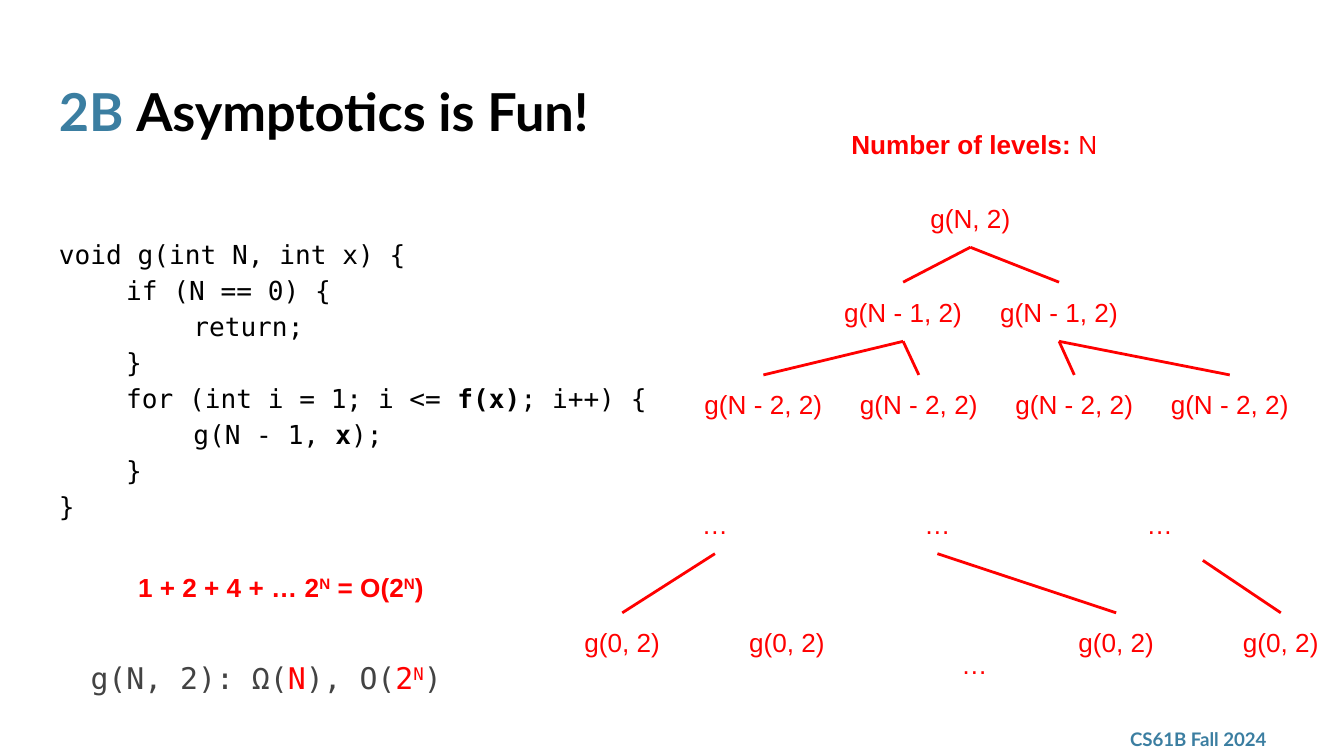
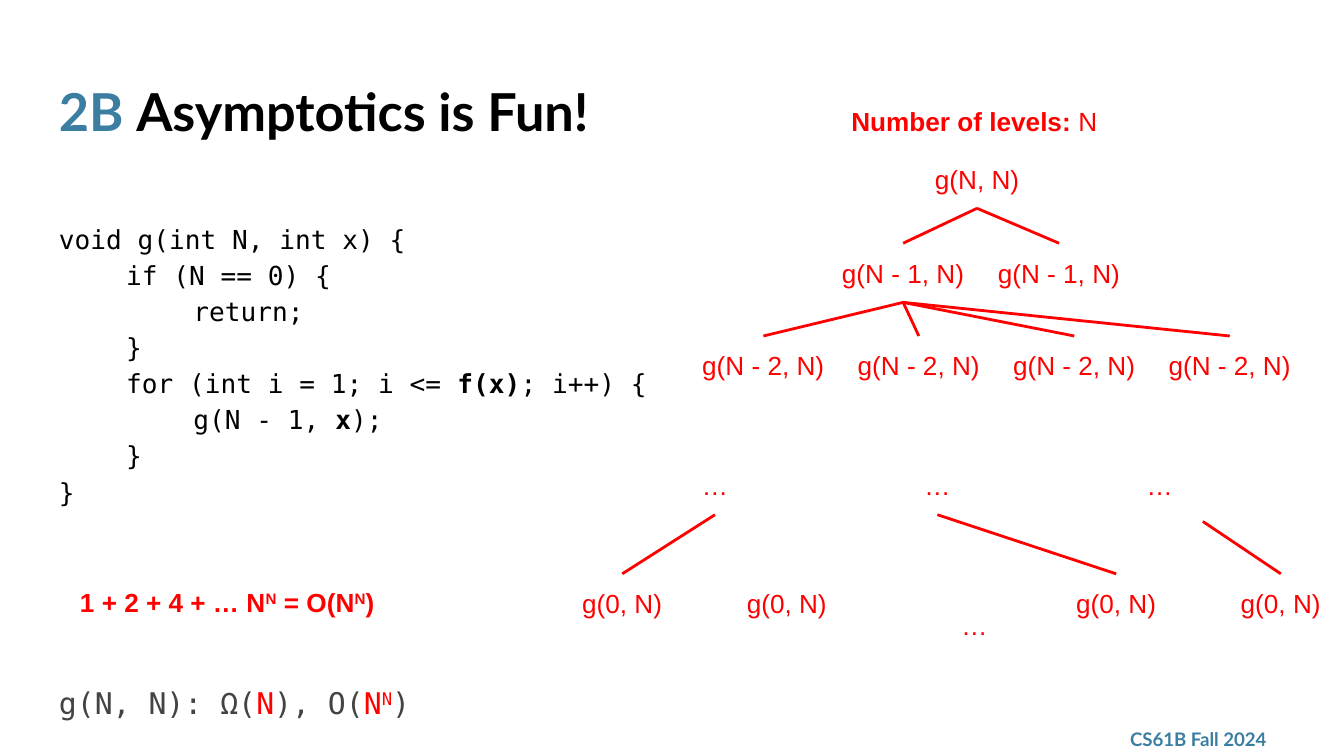
"""Builds two slides that analyse the recursive function g with call trees."""
from lxml import etree
from pptx import Presentation
from pptx.dml.color import RGBColor
from pptx.enum.shapes import MSO_CONNECTOR as Connector
from pptx.enum.text import MSO_ANCHOR as Anchor, PP_ALIGN as Align
from pptx.oxml.ns import qn
from pptx.util import Inches, Pt

BLUE, RED, BLACK, GREY = "3B7EA1", "FF0000", "000000", "434343"
MONO = "DejaVu Sans Mono"
BOLD, SUPER, ACCENT = {"bold": True}, {"raised": True}, {"color": RED}
BOX_WIDTH, BOX_HEIGHT = 1.16, 0.44


def write(slide, at, paragraphs, align=Align.LEFT, anchor=Anchor.MIDDLE,
          spacing=1.0, **style):
    """Adds a text box; each paragraph is a depth and a list of (text, format) runs."""
    if isinstance(paragraphs, str):
        paragraphs = [(0, [(paragraphs, {})])]
    box = slide.shapes.add_textbox(*map(Inches, at))
    frame = box.text_frame
    frame.word_wrap = True
    frame.vertical_anchor = anchor
    frame.margin_left = frame.margin_right = Inches(0.1)
    frame.margin_top = frame.margin_bottom = Inches(0.1)
    for number, (depth, runs) in enumerate(paragraphs):
        paragraph = frame.add_paragraph() if number else frame.paragraphs[0]
        paragraph.alignment = align
        paragraph.line_spacing = spacing
        if depth:
            paragraph._p.get_or_add_pPr().set("marL", str(Inches(depth / 2)))
        for text, changes in runs:
            look = {"size": 14, "font": "Arial", "color": RED, "bold": False} | style | changes
            run = paragraph.add_run()
            run.text = text
            run.font.size = Pt(look["size"])
            run.font.name = look["font"]
            run.font.bold = look["bold"]
            run.font.color.rgb = RGBColor.from_string(look["color"])
            if look.get("raised"):
                run._r.get_or_add_rPr().set("baseline", "30000")
    return box


CODE = [
    (0, [("void g(int N, int x) {", {})]),
    (1, [("if (N == 0) {", {})]),
    (2, [("return;", {})]),
    (1, [("}", {})]),
    (1, [("for (int i = 1; i <= ", {}), ("f(x)", BOLD), ("; i++) {", {})]),
    (2, [("g(N - 1, ", {}), ("x", BOLD), (");", {})]),
    (1, [("}", {})]),
    (0, [("}", {})]),
]
CASES = [
    {"x": "2", "tree_top": 1.4, "root_width": 0.82, "parents": [0, 0, 1, 1],
     "levels_top": 0.85, "code_at": (0.34, 1.64, 4.66, 2.57),
     "sum_at": (0.45, 4.15, 3.28, 0.44), "sum_anchor": Anchor.TOP,
     "bounds_at": (0.34, 4.74, 3.28, 0.47),
     "bounds_format": {"align": Align.CENTER, "anchor": Anchor.MIDDLE}},
    {"x": "N", "tree_top": 1.11, "root_width": 0.92, "parents": [0, 0, 0, 0],
     "levels_top": 0.68, "code_at": (0.34, 1.53, 5.25, 2.57),
     "sum_at": (0.34, 4.26, 2.7, 0.44), "sum_anchor": Anchor.MIDDLE,
     "bounds_at": (0.34, 4.86, 3.28, 0.47),
     "bounds_format": {"align": Align.LEFT, "anchor": Anchor.TOP}},
]

deck = Presentation()
deck.slide_width = Inches(10)
deck.slide_height = Inches(10 * 9 / 16)

for case in CASES:
    slide = deck.slides.add_slide(deck.slide_layouts[6])
    x, top = case["x"], case["tree_top"]

    write(slide, (8.31, 5.37, 1.35, 0.26), "CS61B Fall 2024",
          size=10, font="Lato", color=BLUE, bold=True)
    write(slide, (0.34, 0.49, 9.32, 0.63),
          [(0, [("2B ", {"color": BLUE}), ("Asymptotics is Fun!", {})])],
          anchor=Anchor.TOP, size=28, font="Lato", color=BLACK, bold=True)
    write(slide, case["code_at"], CODE, anchor=Anchor.TOP, spacing=1.15,
          font=MONO, color=BLACK)
    write(slide, case["bounds_at"],
          [(0, [(f"g(N, {x}): Ω(", {}), ("N", ACCENT), ("), O(", {}),
                (x, ACCENT), ("N", ACCENT | SUPER), (")", {})])],
          spacing=1.5, size=16, font=MONO, color=GREY, **case["bounds_format"])
    write(slide, case["sum_at"],
          [(0, [(f"1 + 2 + 4 + … {x}", {}), ("N", SUPER),
                (f" = O({x}", {}), ("N", SUPER), (")", {})])],
          align=Align.CENTER, anchor=case["sum_anchor"], bold=True)
    write(slide, (5.9, case["levels_top"], 2.7, 0.44),
          [(0, [("Number of levels: ", BOLD), ("N", {})])], align=Align.CENTER)

    root = write(slide, (6.81, top, case["root_width"], BOX_HEIGHT),
                 f"g(N, {x})", align=Align.CENTER)
    rows = []
    for label, lefts, drop in [
        (f"g(N - 1, {x})", [6.14, 7.3], 0.7),
        (f"g(N - 2, {x})", [5.1 + 3.47 * i / 3 for i in range(4)], 1.39),
        ("…", [4.74 + 3.31 * i / 2 for i in range(3)], 2.28),
        (f"g(0, {x})", [4.05 + 4.9 * i / 4 for i in (0, 1, 3, 4)], 3.16),
        ("…", [6.67], 3.32),
    ]:
        rows.append([write(slide, (left, top + drop, BOX_WIDTH, BOX_HEIGHT),
                           label, align=Align.CENTER) for left in lefts])
    children, grandchildren, gaps, leaves, _ = rows

    branches = [(root, child) for child in children]
    branches += [(children[i], call) for i, call in zip(case["parents"], grandchildren)]
    branches += [(gaps[0], leaves[0]), (gaps[1], leaves[2]), (None, leaves[3])]
    for parent, child in branches:
        branch = slide.shapes.add_connector(
            Connector.STRAIGHT, Inches(8.95), Inches(top + 2.77), child.left, child.top)
        if parent is not None:
            branch.begin_connect(parent, 2)
        branch.end_connect(child, 0)
        branch.line.color.rgb = RGBColor.from_string(RED)
        branch.line.width = Pt(1.5)
        etree.SubElement(branch._element.spPr, qn("a:effectLst"))

deck.save("out.pptx")
